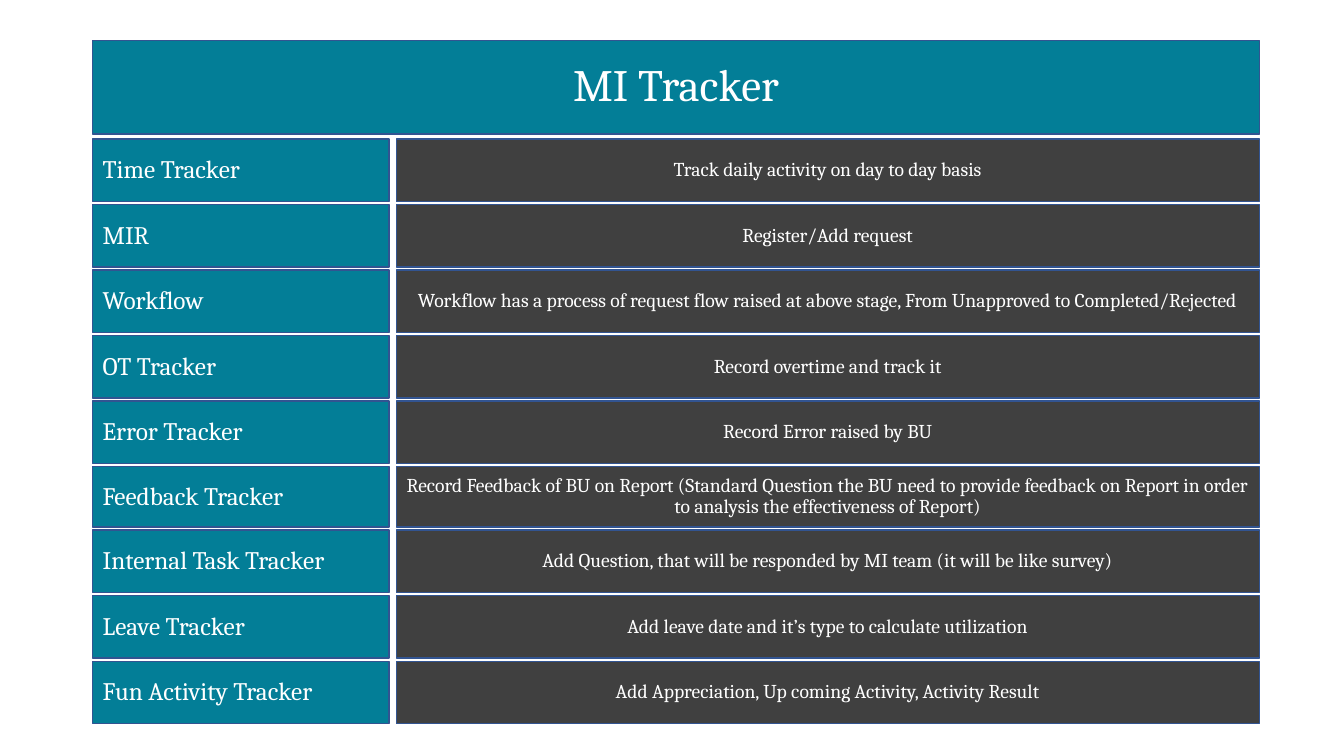
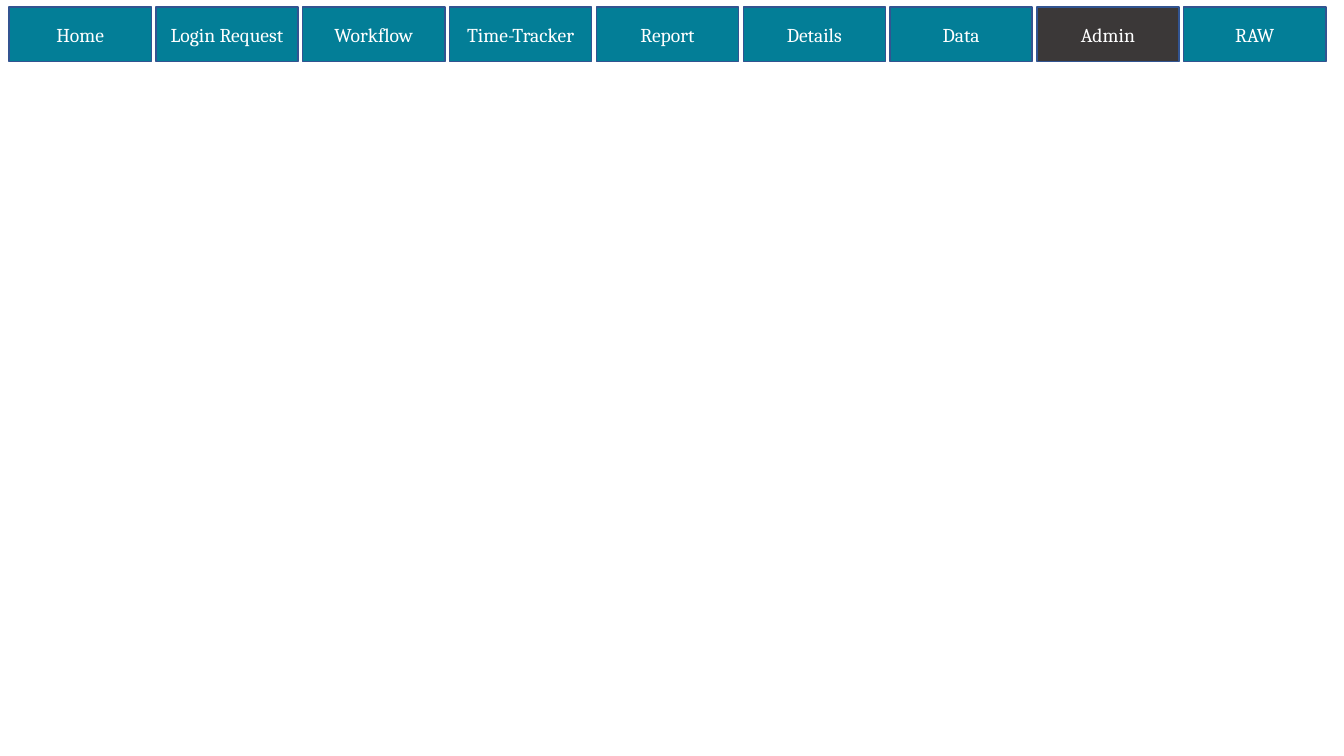
"""Build the tracker overview slide and the navigation bar slide."""

from dataclasses import dataclass

from pptx import Presentation
from pptx.dml.color import RGBColor
from pptx.enum.shapes import MSO_SHAPE
from pptx.enum.text import MSO_ANCHOR, PP_ALIGN
from pptx.slide import Slide
from pptx.util import Inches, Pt


@dataclass(frozen=True)
class Theme:
    teal: RGBColor = RGBColor(0x03, 0x7E, 0x97)
    dark: RGBColor = RGBColor(0x40, 0x40, 0x40)
    active: RGBColor = RGBColor(0x3B, 0x38, 0x38)
    outline: RGBColor = RGBColor(0x32, 0x54, 0x91)
    white: RGBColor = RGBColor(0xFF, 0xFF, 0xFF)
    font: str = "Cambria"
    title_size: int = 32
    label_size: int = 18
    body_size: int = 14
    line_width: int = 1


@dataclass(frozen=True)
class Area:
    left: float
    top: float
    width: float
    height: float


@dataclass(frozen=True)
class Tracker:
    name: str
    purpose: str
    height: float = 0.62


THEME = Theme()

TITLE_AREA = Area(0.92, 0.4, 11.57, 0.93)
ROWS_TOP = 1.38
ROW_GAP = 0.03
LABEL_WIDTH = 2.94
PURPOSE_LEFT = 3.93
PURPOSE_WIDTH = 8.56
TRACKERS = (
    Tracker("Time Tracker", "Track daily activity on day to day basis"),
    Tracker("MIR", "Register/Add request"),
    Tracker(
        "Workflow",
        "Workflow has a process of request flow raised at above stage, "
        "From Unapproved to Completed/Rejected",
    ),
    Tracker("OT Tracker", "Record overtime and track it"),
    Tracker("Error Tracker", "Record Error raised by BU"),
    Tracker(
        "Feedback Tracker",
        "Record Feedback of BU on Report (Standard Question the BU need to provide "
        "feedback on Report in order to analysis the effectiveness of Report)",
        height=0.6,
    ),
    Tracker(
        "Internal Task Tracker",
        "Add Question, that will be responded by MI team (it will be like survey)",
    ),
    Tracker("Leave Tracker", "Add leave date and it’s type to calculate utilization"),
    Tracker("Fun Activity Tracker", "Add Appreciation, Up coming Activity, Activity Result"),
)

FIRST_TAB = Area(0.09, 0.07, 1.41, 0.54)
LAST_TAB_LEFT = 11.74
ACTIVE_TAB = "Admin"
TABS = (
    "Home", "Login Request", "Workflow", "Time-Tracker", "Report",
    "Details", "Data", "Admin", "RAW",
)


def add_box(
    page: Slide,
    area: Area,
    text: str,
    fill: RGBColor = THEME.teal,
    size: int = THEME.body_size,
    align: PP_ALIGN = PP_ALIGN.CENTER,
    line_spacing: float = 0.9,
) -> None:
    box = page.shapes.add_shape(
        MSO_SHAPE.RECTANGLE,
        Inches(area.left), Inches(area.top), Inches(area.width), Inches(area.height),
    )
    box.shadow.inherit = False
    box.fill.solid()
    box.fill.fore_color.rgb = fill
    box.line.color.rgb = THEME.outline
    box.line.width = Pt(THEME.line_width)
    frame = box.text_frame
    frame.word_wrap = True
    frame.vertical_anchor = MSO_ANCHOR.MIDDLE
    frame.text = text
    para = frame.paragraphs[0]
    para.alignment = align
    para.line_spacing = line_spacing
    for span in para.runs:
        span.font.name = THEME.font
        span.font.size = Pt(size)
        span.font.color.rgb = THEME.white


def draw_overview(page: Slide) -> None:
    add_box(page, TITLE_AREA, "MI Tracker", size=THEME.title_size)
    top = ROWS_TOP
    for tracker in TRACKERS:
        label = Area(TITLE_AREA.left, top, LABEL_WIDTH, tracker.height)
        purpose = Area(PURPOSE_LEFT, top, PURPOSE_WIDTH, tracker.height)
        add_box(page, label, tracker.name, size=THEME.label_size, align=PP_ALIGN.LEFT)
        add_box(page, purpose, tracker.purpose, fill=THEME.dark)
        top += tracker.height + ROW_GAP


def draw_navigation(page: Slide) -> None:
    pitch = (LAST_TAB_LEFT - FIRST_TAB.left) / (len(TABS) - 1)
    for index, name in enumerate(TABS):
        left = FIRST_TAB.left + index * pitch
        area = Area(left, FIRST_TAB.top, FIRST_TAB.width, FIRST_TAB.height)
        fill = THEME.active if name == ACTIVE_TAB else THEME.teal
        add_box(page, area, name, fill=fill, line_spacing=1.0)


def main() -> None:
    deck = Presentation()
    deck.slide_width = Inches(13.33)
    deck.slide_height = Inches(7.5)
    blank = deck.slide_layouts[6]
    for draw in (draw_overview, draw_navigation):
        draw(deck.slides.add_slide(blank))
    deck.save("out.pptx")


if __name__ == "__main__":
    main()
